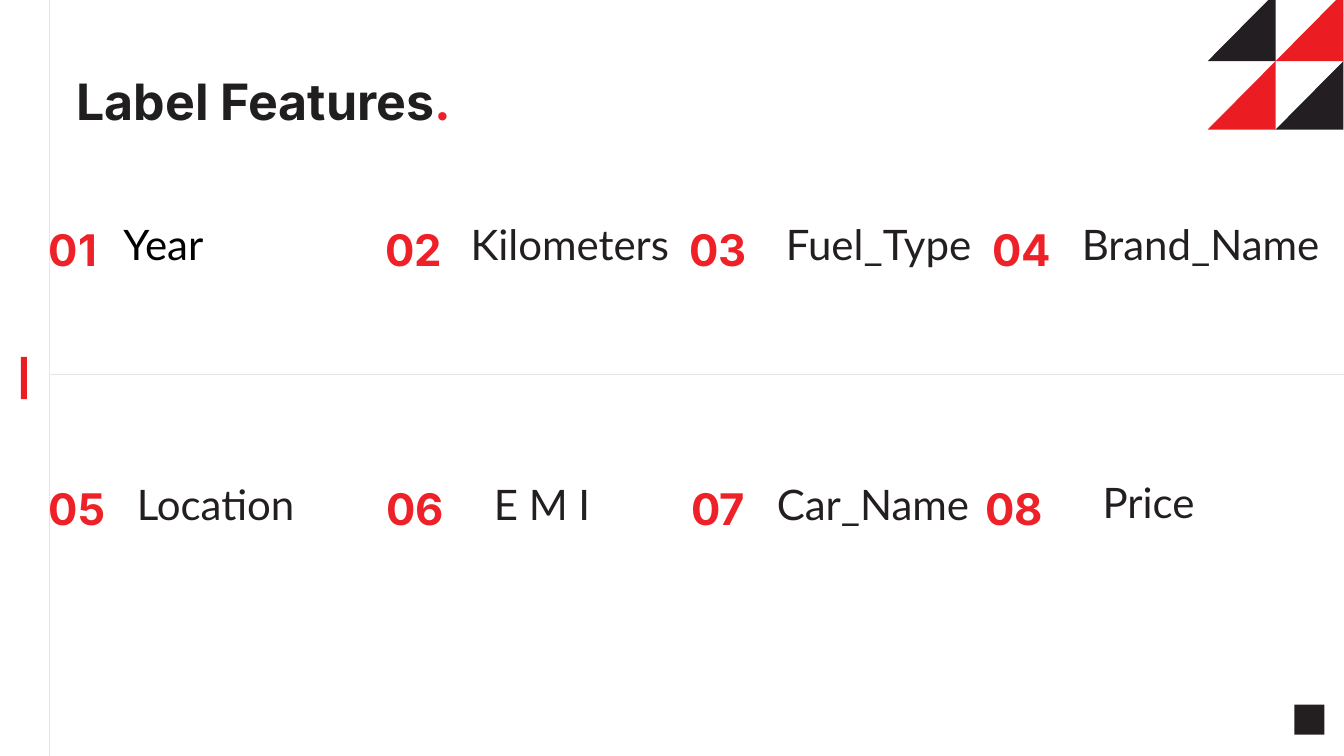
from lxml.etree import SubElement
from pptx import Presentation
from pptx.dml.color import RGBColor
from pptx.enum.shapes import MSO_CONNECTOR as Connector, MSO_SHAPE as Shape
from pptx.enum.text import MSO_ANCHOR as Anchor, MSO_AUTO_SIZE as AutoSize, PP_ALIGN as Align
from pptx.oxml.ns import qn
from pptx.util import Inches, Pt

WIDTH, HEIGHT = 21.99, 12.37
COLOURS = {
    "title": "211E1F",
    "number": "ED2127",
    "label": "231F20",
    "first_label": "000000",
    "red": "EC1C23",
    "dark": "231E21",
    "rule": "E0E6E9",
}
FORMATS = {
    "title": {"name": "Inter", "size": Pt(59), "bold": True},
    "number": {"name": "Inter", "size": Pt(88.5), "bold": True},
    "label": {"name": "Lato", "size": Pt(49.5), "bold": False},
}
FRAME = {
    "word_wrap": True,
    "auto_size": AutoSize.NONE,
    "vertical_anchor": Anchor.TOP,
    "margin_left": 0,
    "margin_right": 0,
    "margin_top": Inches(0.02),
    "margin_bottom": 0,
}


def colour(name):
    return RGBColor.from_string(COLOURS[name])


def set_values(target, values):
    for name, value in values.items():
        setattr(target, name, value)


class SlideBuilder:
    def __init__(self, slide):
        self.slide = slide
        self.shapes = slide.shapes

    def fill_text(self, shape, style, pieces):
        set_values(shape.text_frame, FRAME)
        paragraph = shape.text_frame.paragraphs[0]
        paragraph.alignment = Align.LEFT
        for text, colour_name in pieces:
            run = paragraph.add_run()
            run.text = text
            set_values(run.font, FORMATS[style])
            run.font.color.rgb = colour(colour_name)
        return run

    def title(self, box, pieces):
        title = self.shapes.title
        set_values(title, dict(zip(("left", "top", "width", "height"), map(Inches, box))))
        self.fill_text(title, "title", pieces)

    def text(self, box, style, text, colour_name):
        shape = self.shapes.add_textbox(*map(Inches, box))
        return self.fill_text(shape, style, [(text, colour_name)])

    def number(self, left, top, text):
        run = self.text((left, top, 1.3, 1.5), "number", text, "number")
        run._r.get_or_add_rPr().set("baseline", "-25000")

    def paint(self, shape, colour_name):
        shape.shadow.inherit = False
        shape.fill.solid()
        shape.fill.fore_color.rgb = colour(colour_name)
        shape.line.fill.background()

    def rectangle(self, box, colour_name):
        shape = self.shapes.add_shape(Shape.RECTANGLE, *map(Inches, box))
        self.paint(shape, colour_name)

    def triangle(self, left, top, width, height, colour_name):
        right, bottom = left + width, top + height
        builder = self.shapes.build_freeform(Inches(right), Inches(top))
        corners = [(left, bottom), (right, bottom)]
        builder.add_line_segments([(Inches(x), Inches(y)) for x, y in corners], close=True)
        self.paint(builder.convert_to_shape(), colour_name)

    def rule(self, *ends):
        line = self.shapes.add_connector(Connector.STRAIGHT, *map(Inches, ends))
        line.line.color.rgb = colour("rule")
        line.line.width = Pt(0.82)
        SubElement(line._element.spPr, qn("a:effectLst"))


def main():
    presentation = Presentation()
    presentation.slide_width = Inches(WIDTH)
    presentation.slide_height = Inches(HEIGHT)
    builder = SlideBuilder(presentation.slides.add_slide(presentation.slide_layouts[5]))

    builder.rectangle((21.18, 11.53, 0.49, 0.49), "label")
    builder.rectangle((0.34, 5.84, 0.1, 0.69), "red")
    builder.title((1.25, 1.13, 7.15, 1.01), [("Label Features", "title"), (".", "number")])
    builder.rule(0.8, 0, 0.8, HEIGHT)
    builder.rule(0.8, 6.12, WIDTH, 6.12)

    for row, names in enumerate((("dark", "red"), ("red", "dark"))):
        for column, name in enumerate(names):
            builder.triangle(19.76 + 1.11 * column, -0.12 + 1.12 * row, 1.11, 1.12, name)

    features = [
        ("Year", 0.8, 2.02, 3.56),
        ("Kilometers", 6.3, 7.7, 3.56),
        ("Fuel_Type", 11.28, 12.86, 3.56),
        ("Brand_Name", 16.24, 17.7, 3.56),
        ("Location", 0.8, 2.24, 7.81),
        ("E M I", 6.32, 8.08, 7.81),
        ("Car_Name", 11.31, 12.71, 7.81),
        ("Price", 16.12, 18.04, 7.77),
    ]
    for index, (label, number_left, label_left, label_top) in enumerate(features):
        number_top = 2.8 + 4.25 * (index // 4)
        builder.number(number_left, number_top, f"{index + 1:02}")
        name = "label" if index else "first_label"
        builder.text((label_left, label_top, 4.2, 0.85), "label", label, name)

    presentation.save("out.pptx")


if __name__ == "__main__":
    main()
